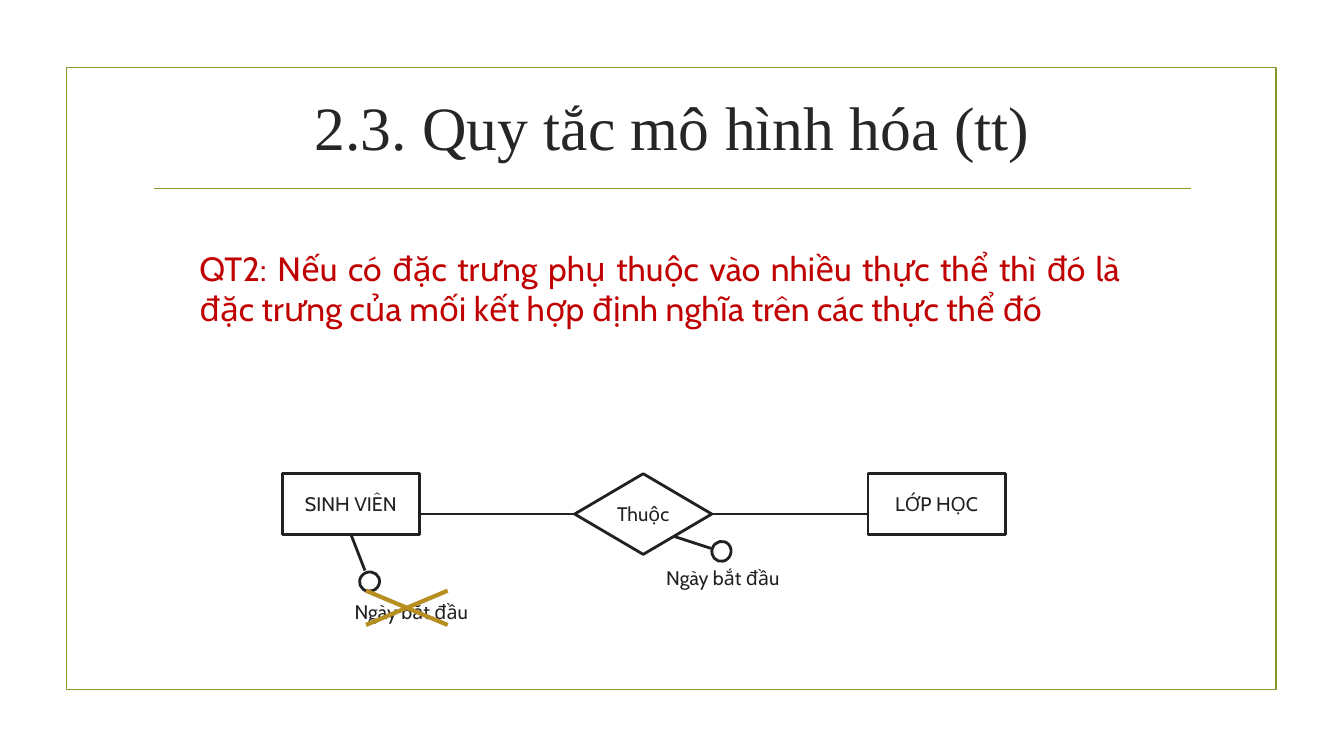
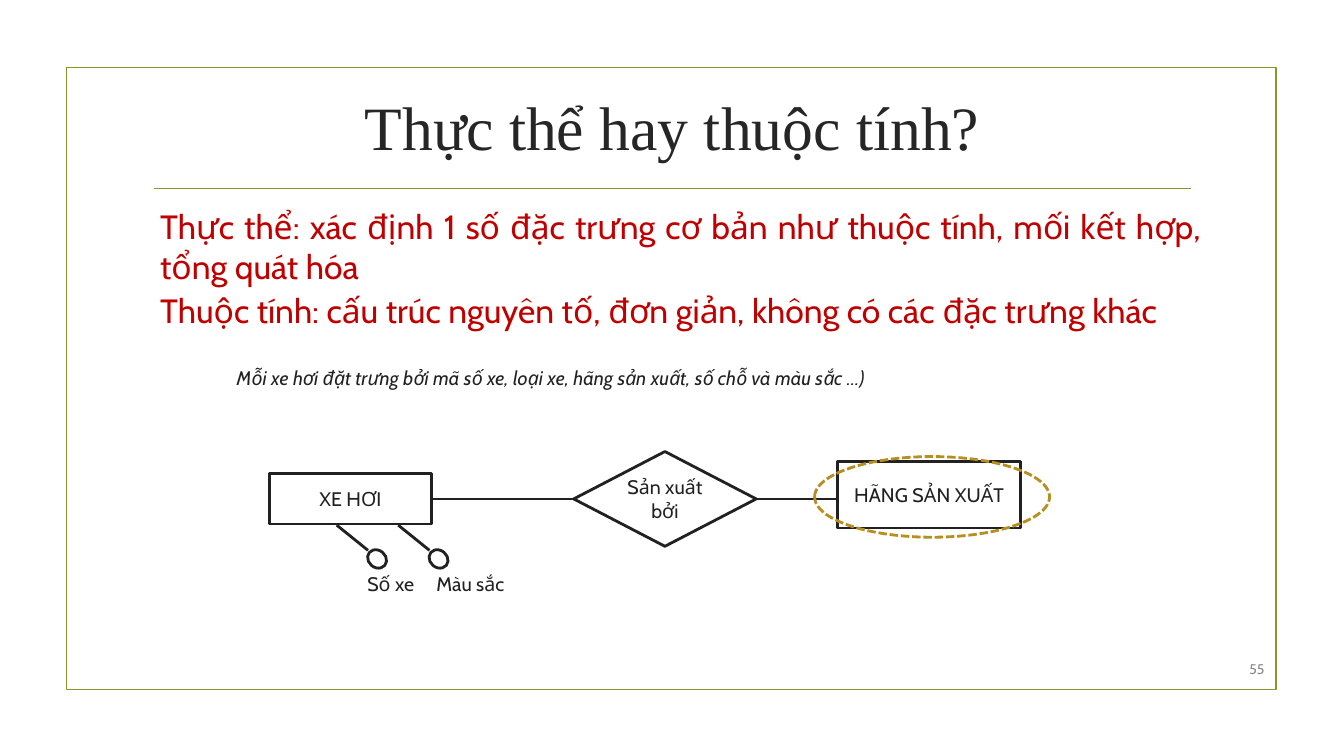
from typing import NamedTuple

from lxml.etree import SubElement
from pptx import Presentation
from pptx.dml.color import RGBColor
from pptx.enum.dml import MSO_LINE
from pptx.enum.shapes import MSO_CONNECTOR, MSO_SHAPE
from pptx.enum.text import MSO_ANCHOR, MSO_AUTO_SIZE, PP_ALIGN
from pptx.oxml.ns import qn
from pptx.util import Pt

PX = 9144
COLORS = {
    "paper": "FFFFFF",
    "frame": "83992A",
    "title": "262626",
    "rule": "C00000",
    "ink": "212121",
    "accent": "B78E20",
    "page": "898989",
}
BODY_FONT = "Cabin"
TITLE_FONT = "Times New Roman"
TOP, LEFT, RIGHT = 0, 1, 3


class Box(NamedTuple):
    left: int
    top: int
    width: int
    height: int

    def inner(self, dx, dy, width, height):
        return Box(self.left + dx, self.top + dy, width, height)

    def point(self, dx, dy):
        return self.left + dx, self.top + dy

    def emu(self):
        return [value * PX for value in self]


PAGE = Box(0, 0, 1333, 750)
FRAME = Box(66, 67, 1200, 617)


def color(name):
    return RGBColor.from_string(COLORS[name])


def write(frame, *paragraphs, size=14, font=BODY_FONT, ink="ink", italic=None,
          align=PP_ALIGN.CENTER, anchor=MSO_ANCHOR.MIDDLE, margins=(10, 5), after=0):
    frame.word_wrap = True
    frame.auto_size = MSO_AUTO_SIZE.NONE
    frame.vertical_anchor = anchor
    frame.margin_left = frame.margin_right = margins[0] * PX
    frame.margin_top = frame.margin_bottom = margins[1] * PX
    for index, words in enumerate(paragraphs):
        paragraph = frame.add_paragraph() if index else frame.paragraphs[0]
        paragraph.alignment = align
        paragraph.space_after = Pt(after)
        run = paragraph.add_run()
        run.text = words
        run.font.size = Pt(size)
        run.font.name = font
        run.font.italic = italic
        run.font.color.rgb = color(ink)


def add_text(slide, box, *paragraphs, **style):
    write(slide.shapes.add_textbox(*box.emu()).text_frame, *paragraphs, **style)


def add_outline(slide, kind, box, ink="ink", weight=2, fill=None):
    outline = slide.shapes.add_shape(kind, *box.emu())
    outline.shadow.inherit = False
    if fill:
        outline.fill.solid()
        outline.fill.fore_color.rgb = color(fill)
    else:
        outline.fill.background()
    outline.line.color.rgb = color(ink)
    outline.line.width = Pt(weight)
    return outline


def add_line(slide, start, end, ink="ink", weight=2):
    line = slide.shapes.add_connector(
        MSO_CONNECTOR.STRAIGHT, *(value * PX for value in (*start, *end)))
    line.line.color.rgb = color(ink)
    line.line.width = Pt(weight)
    SubElement(line.element.spPr, qn("a:effectLst"))
    return line


def add_entity(slide, box, name):
    entity = add_outline(slide, MSO_SHAPE.RECTANGLE, box, fill="paper")
    write(entity.text_frame, name, margins=(0, 5))
    return entity


def add_relation(slide, box, name):
    relation = add_outline(slide, MSO_SHAPE.DIAMOND, box, fill="paper")
    write(relation.text_frame, name, margins=(0, 0))
    return relation


def add_attribute(slide, start, end, circle, angle, name, label):
    add_line(slide, start, end)
    add_outline(slide, MSO_SHAPE.OVAL, circle).rotation = angle
    add_text(slide, label, name, anchor=MSO_ANCHOR.TOP, margins=(0, 0))


def add_cross(slide, box):
    right, bottom = box.width, box.height
    add_line(slide, box.point(right, 0), box.point(0, bottom), "accent", 3)
    add_line(slide, box.point(0, 0), box.point(right, bottom), "accent", 3)


def start_slide(prs, heading):
    slide = prs.slides.add_slide(prs.slide_layouts[5])
    add_outline(slide, MSO_SHAPE.RECTANGLE, FRAME, "frame", 1.25)
    add_line(slide, FRAME.point(87, 120), FRAME.point(1115, 120), "frame", 1.25)
    title = slide.shapes.title
    title.left, title.top, title.width, title.height = FRAME.inner(76, 1, 1050, 114).emu()
    write(title.text_frame, heading, size=44, font=TITLE_FONT, ink="title")
    return slide


def add_rules(slide, box, *rules, after=0):
    add_text(slide, box, *rules, size=24, ink="rule", align=PP_ALIGN.JUSTIFY, after=after)


def enrolment_diagram(slide, box):
    add_entity(slide, box.inner(0, 0, 136, 60), "SINH VIÊN")
    add_entity(slide, box.inner(581, 0, 136, 60), "LỚP HỌC")
    belongs = add_relation(slide, box.inner(290, 0, 136, 80), "Thuộc")
    for edge, side, tip in ((136, LEFT, 290), (581, RIGHT, 426)):
        link = add_line(slide, box.point(edge, 40), box.point(tip, 40))
        link.end_connect(belongs, side)
    start_date = "Ngày bắt đầu"
    add_attribute(slide, box.point(388, 62), box.point(425, 74),
                  box.inner(426, 67, 19, 20), 17.8,
                  start_date, box.inner(375, 91, 124, 33))
    add_attribute(slide, box.point(68, 60), box.point(82, 96),
                  box.inner(77, 97, 19, 20), 68.2,
                  start_date, box.inner(66, 125, 124, 33))
    add_cross(slide, box.inner(83, 116, 81, 34))


def car_diagram(slide, box):
    car = add_entity(slide, box.inner(0, 22, 161, 50), "XE HƠI")
    add_entity(slide, box.inner(564, 10, 181, 66), "HÃNG SẢN XUẤT")
    for foot, name, label_left, label_width in (
            (128, "Màu sắc", 158, 83), (67, "Số xe", 83, 75)):
        add_attribute(slide, box.point(foot, 73), box.point(foot + 31, 98),
                      box.inner(foot + 30, 98, 20, 17), 40,
                      name, box.inner(label_left, 119, label_width, 33))
    made_by = add_relation(slide, box.inner(302, 0, 181, 94), "Sản xuất bởi")
    car_link = add_line(slide, box.point(161, 47), box.point(302, 47))
    car_link.begin_connect(car, RIGHT)
    car_link.end_connect(made_by, LEFT)
    maker_link = add_line(slide, box.point(483, 47), box.point(564, 47))
    maker_link.begin_connect(made_by, RIGHT)
    highlight = add_outline(slide, MSO_SHAPE.OVAL, box.inner(541, 5, 233, 80), "accent")
    highlight.line.dash_style = MSO_LINE.SQUARE_DOT


def modelling_rule_slide(prs):
    slide = start_slide(prs, "2.3. Quy tắc mô hình hóa (tt)")
    add_rules(slide, Box(188, 240, 933, 91),
              "QT2: Nếu có đặc trưng phụ thuộc vào nhiều thực thể thì đó là "
              "đặc trưng của mối kết hợp định nghĩa trên các thực thể đó")
    enrolment_diagram(slide, Box(280, 470, 717, 158))


def entity_or_attribute_slide(prs):
    slide = start_slide(prs, "Thực thể hay thuộc tính?")
    add_text(slide, FRAME.inner(1139, 581, 59, 31), "55",
             size=10, ink="page", align=PP_ALIGN.RIGHT)
    add_rules(slide, Box(149, 178, 1052, 176),
              "Thực thể: xác định 1 số đặc trưng cơ bản như thuộc tính, "
              "mối kết hợp, tổng quát hóa",
              "Thuộc tính: cấu trúc nguyên tố, đơn giản, không có các đặc trưng khác",
              after=3)
    car_diagram(slide, Box(267, 448, 774, 152))
    add_text(slide, Box(225, 358, 817, 34),
             "Mỗi xe hơi đặt trưng bởi mã số xe, loại xe, hãng sản xuất, "
             "số chỗ và màu sắc …)",
             italic=True, align=PP_ALIGN.LEFT, anchor=MSO_ANCHOR.TOP)


def main():
    prs = Presentation()
    prs.slide_width, prs.slide_height = PAGE.emu()[2:]
    modelling_rule_slide(prs)
    entity_or_attribute_slide(prs)
    prs.save("out.pptx")


if __name__ == "__main__":
    main()
